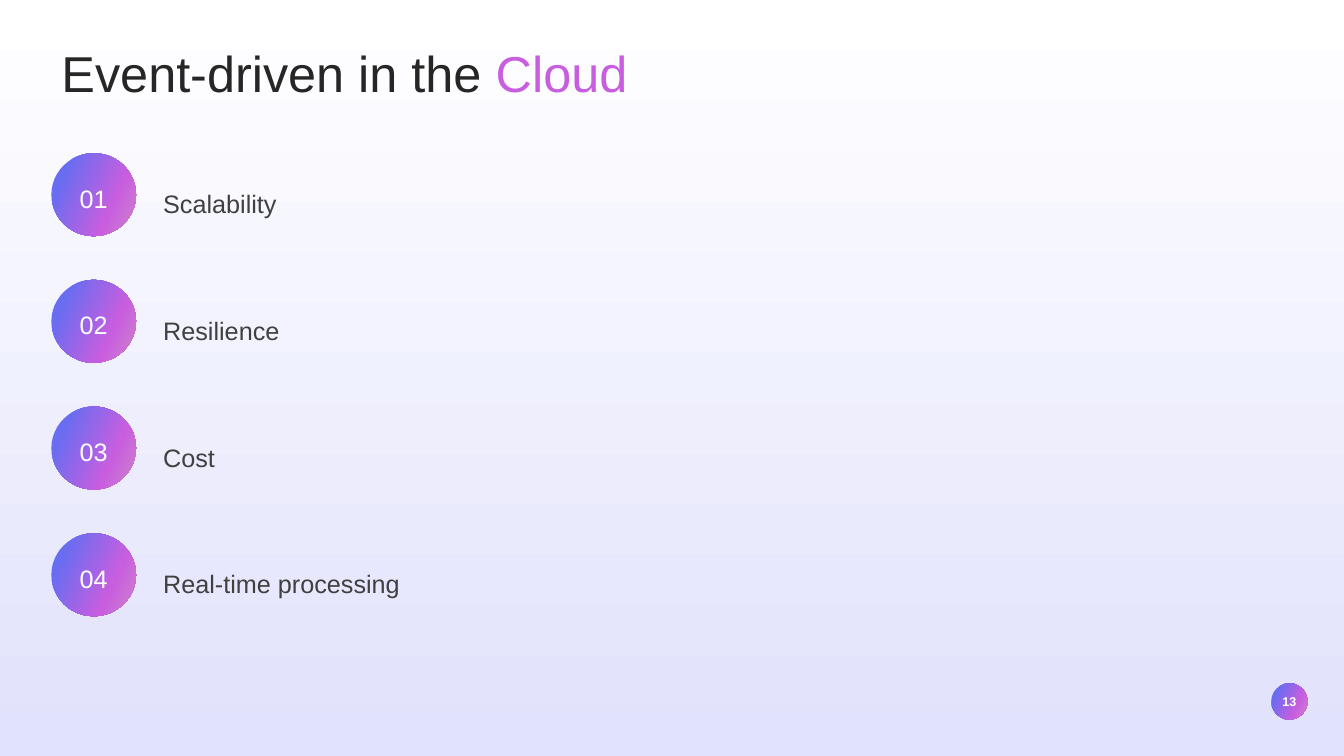
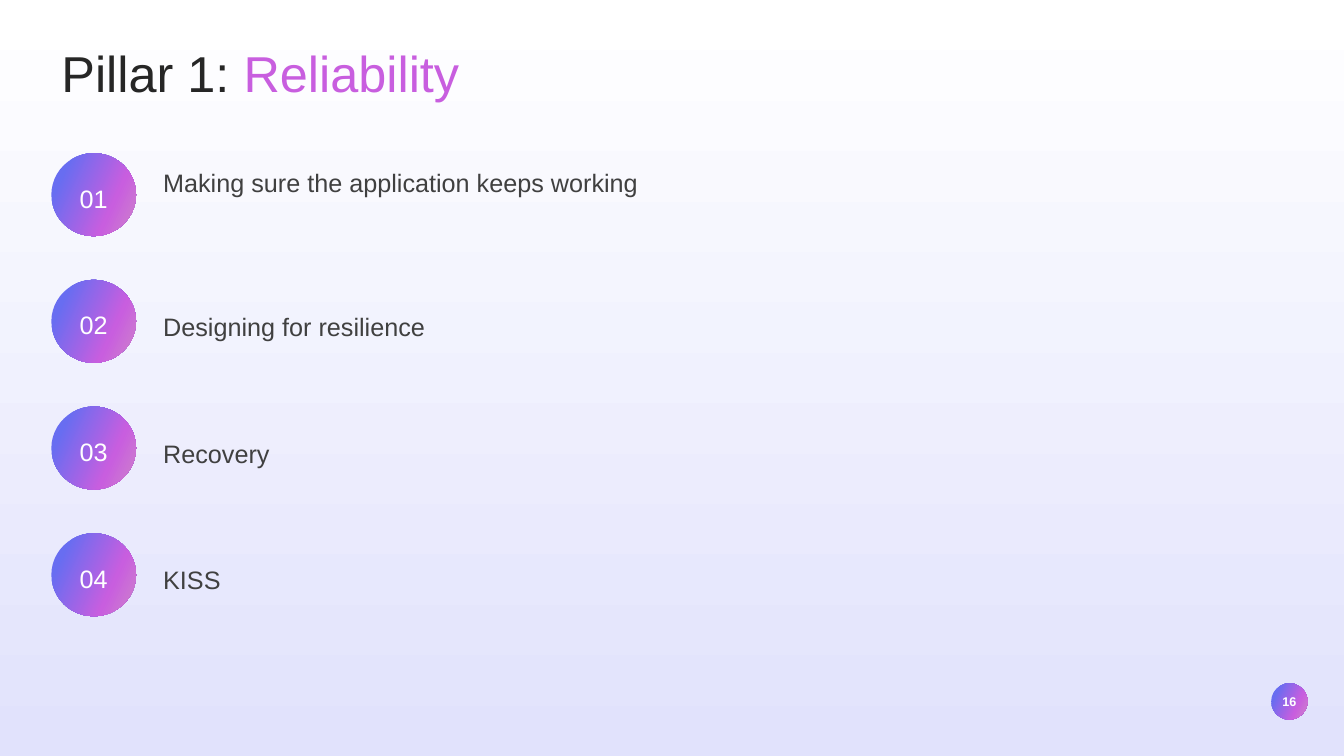
from copy import deepcopy
from dataclasses import dataclass

from pptx import Presentation
from pptx.dml.color import RGBColor
from pptx.enum.shapes import MSO_SHAPE
from pptx.enum.text import MSO_ANCHOR, MSO_AUTO_SIZE, PP_ALIGN
from pptx.oxml.ns import qn
from pptx.util import Pt

SLIDES = [
    {
        "title": ("Event-driven in the ", "Cloud"),
        "number": "13",
        "items": [
            ("Scalability", 15.3),
            ("Resilience", 15.3),
            ("Cost", 15.3),
            ("Real-time processing", 15.3),
        ],
    },
    {
        "title": ("Pillar 1: ", "Reliability"),
        "number": "16",
        "items": [
            ("Making sure the application keeps working", 0),
            ("Designing for resilience", 12.5),
            ("Recovery", 12.5),
            ("KISS", 12.5),
        ],
    },
]


@dataclass(frozen=True)
class Theme:
    font: str = "Arial"
    title_size: int = 36
    body_size: int = 18
    number_size: int = 9
    title_color: str = "262626"
    body_color: str = "404040"
    light: str = "FFFFFF"
    background: tuple = ((0, "FFFFFF"), (100, "E1E2FC"))
    accent: tuple = ((17, "686DF1"), (69, "C85EDF"), (100, "CE84CA"))
    title_accent: tuple = ((17, "1921EA"), (69, "C85EDF"), (100, "CE84CA"))
    background_angle: int = 90
    accent_angle: int = 25


THEME = Theme()
LEFT = 36.7
TITLE_TOP, TITLE_WIDTH, TITLE_HEIGHT = 26.6, 468.7, 51
LIST_TOP, LIST_PITCH = 109.4, 90.5
CIRCLE_WIDTH, CIRCLE_HEIGHT = 60.5, 59.3
ITEM_LEFT, ITEM_WIDTH, ITEM_HEIGHT = 109.5, 366, 34
BADGE_LEFT, BADGE_TOP, BADGE_SIZE = 908, 488, 26
NUMBER_WIDTH, NUMBER_HEIGHT = 33, 18


def set_gradient(fill, parent, stops, clockwise_angle):
    fill.gradient()
    fill.gradient_angle = 360 - clockwise_angle
    stop_list = next(parent.iter(qn("a:gsLst")))
    while len(stop_list) < len(stops):
        stop_list.append(deepcopy(stop_list[-1]))
    for stop, (percent, color) in zip(fill.gradient_stops, stops):
        stop.position = percent / 100
        stop.color.rgb = RGBColor.from_string(color)


def style_font(font, size, color, bold=False):
    font.name = THEME.font
    font.size = Pt(size)
    font.bold = bold
    font.color.rgb = RGBColor.from_string(color)


def add_circle(slide, left, top, width, height):
    circle = slide.shapes.add_shape(
        MSO_SHAPE.OVAL, Pt(left), Pt(top), Pt(width), Pt(height))
    circle.shadow.inherit = False
    circle.line.fill.background()
    set_gradient(circle.fill, circle.element.spPr, THEME.accent, THEME.accent_angle)
    return circle


def add_text(slide, text, left, top, width, height, size, color, bold=False):
    box = slide.shapes.add_textbox(Pt(left), Pt(top), Pt(width), Pt(height))
    frame = box.text_frame
    frame.word_wrap = True
    frame.auto_size = MSO_AUTO_SIZE.SHAPE_TO_FIT_TEXT
    frame.text = text
    paragraph = frame.paragraphs[0]
    style_font(paragraph.font, size, color, bold)
    return frame, paragraph


def add_page_number(slide, number):
    add_circle(slide, BADGE_LEFT, BADGE_TOP, BADGE_SIZE, BADGE_SIZE)
    frame, paragraph = add_text(
        slide, number,
        BADGE_LEFT + (BADGE_SIZE - NUMBER_WIDTH) / 2,
        BADGE_TOP + (BADGE_SIZE - NUMBER_HEIGHT) / 2,
        NUMBER_WIDTH, NUMBER_HEIGHT, THEME.number_size, THEME.light, True)
    frame.vertical_anchor = MSO_ANCHOR.MIDDLE
    paragraph.alignment = PP_ALIGN.CENTER


def set_title(slide, plain, accented):
    title = slide.shapes.title
    title.left, title.top = Pt(LEFT), Pt(TITLE_TOP)
    title.width, title.height = Pt(TITLE_WIDTH), Pt(TITLE_HEIGHT)
    frame = title.text_frame
    frame.word_wrap = True
    frame.auto_size = MSO_AUTO_SIZE.SHAPE_TO_FIT_TEXT
    frame.vertical_anchor = MSO_ANCHOR.TOP
    paragraph = frame.paragraphs[0]
    paragraph.alignment = PP_ALIGN.LEFT
    style_font(paragraph.font, THEME.title_size, THEME.title_color)
    paragraph.add_run().text = plain
    run = paragraph.add_run()
    run.text = accented
    set_gradient(run.font.fill, run._r, THEME.title_accent, THEME.accent_angle)


def add_item(slide, index, text, drop):
    top = LIST_TOP + index * LIST_PITCH
    _, paragraph = add_text(
        slide, text, ITEM_LEFT, top + drop, ITEM_WIDTH, ITEM_HEIGHT,
        THEME.body_size, THEME.body_color)
    paragraph.line_spacing = 1.3
    paragraph.space_after = Pt(8)

    circle = add_circle(slide, LEFT, top, CIRCLE_WIDTH, CIRCLE_HEIGHT)
    frame = circle.text_frame
    frame.margin_left = frame.margin_right = 0
    frame.margin_top, frame.margin_bottom = Pt(8.6), Pt(3.6)
    frame.vertical_anchor = MSO_ANCHOR.MIDDLE
    frame.text = f"{index + 1:02d}"
    paragraph = frame.paragraphs[0]
    paragraph.alignment = PP_ALIGN.CENTER
    style_font(paragraph.font, THEME.body_size, THEME.light)


def main():
    presentation = Presentation()
    presentation.slide_width, presentation.slide_height = Pt(960), Pt(540)
    master = presentation.slide_master
    set_gradient(master.background.fill, master.element,
                 THEME.background, THEME.background_angle)
    title_only = presentation.slide_layouts.get_by_name("Title Only")
    for content in SLIDES:
        slide = presentation.slides.add_slide(title_only)
        add_page_number(slide, content["number"])
        set_title(slide, *content["title"])
        for index, (text, drop) in enumerate(content["items"]):
            add_item(slide, index, text, drop)
    presentation.save("out.pptx")


if __name__ == "__main__":
    main()
